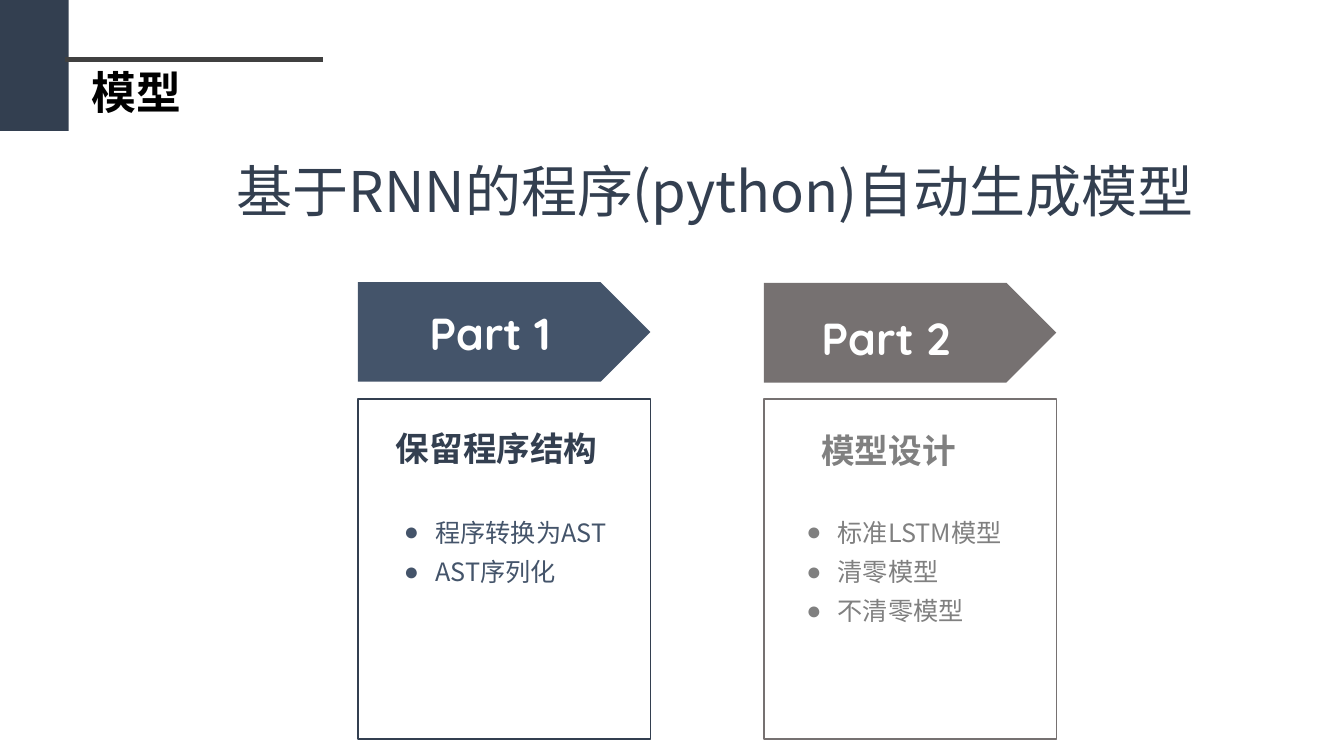
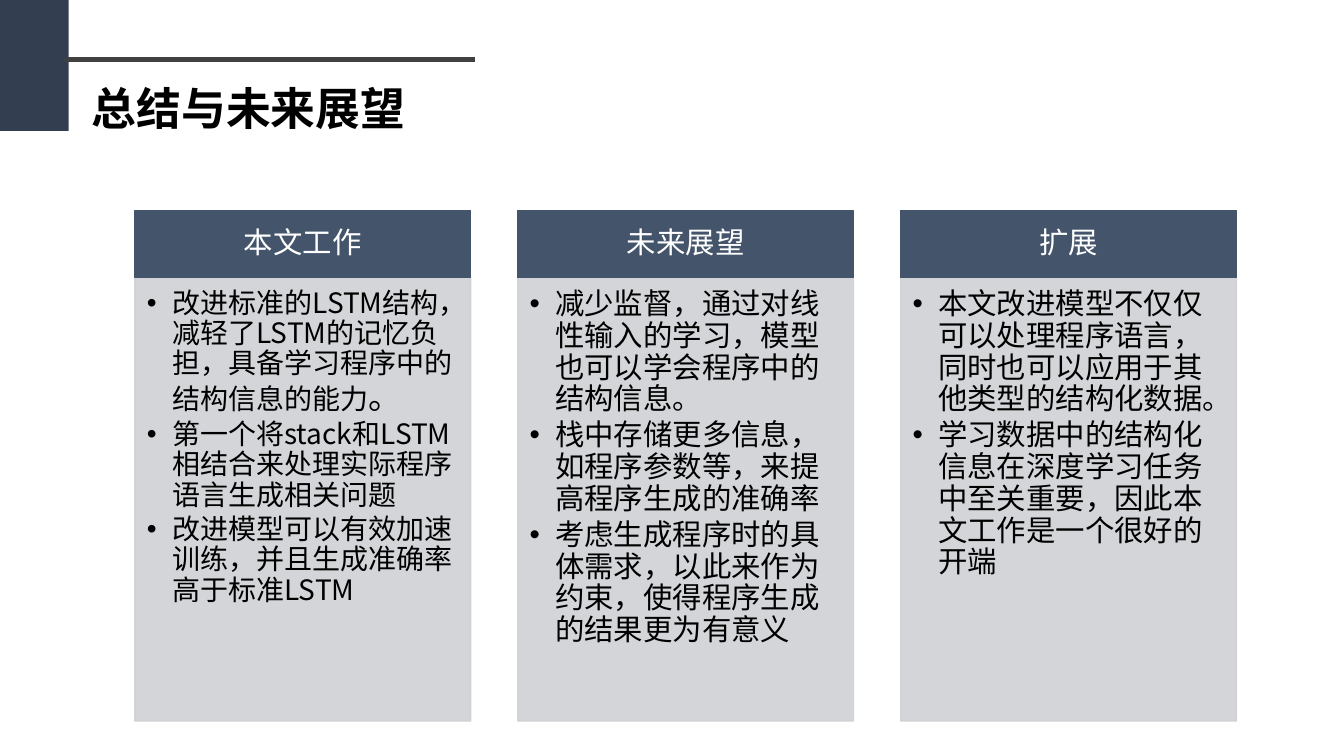
import dataclasses

import lxml.etree
import pptx
import pptx.dml.color
import pptx.enum.shapes
import pptx.enum.text
import pptx.oxml.ns
import pptx.util

Cm = pptx.util.Cm
Pt = pptx.util.Pt
qn = pptx.oxml.ns.qn
Shape = pptx.enum.shapes.MSO_SHAPE
Align = pptx.enum.text.PP_ALIGN
Anchor = pptx.enum.text.MSO_ANCHOR


@dataclasses.dataclass(frozen=True)
class Theme:
    navy: str = "333F50"
    slate: str = "44546A"
    taupe: str = "767171"
    gray: str = "808080"
    panel: str = "CFD1D4"
    rule: str = "404040"
    black: str = "000000"
    white: str = "FFFFFF"
    text_font: str = "Noto Sans CJK SC"
    label_font: str = "Quicksand"
    title_size: int = 40
    heading_size: int = 32
    subheading_size: int = 24
    panel_size: int = 21
    compact_size: int = 20
    list_size: int = 18


THEME = Theme()


def rgb(color):
    return pptx.dml.color.RGBColor.from_string(color)


def add_bullet(paragraph, character, indent):
    properties = paragraph._p.get_or_add_pPr()
    properties.set("marL", str(Cm(indent)))
    properties.set("indent", str(-Cm(indent)))
    bullet = lxml.etree.SubElement(properties, qn("a:buChar"))
    bullet.set("char", character)


def write_text(shape, paragraphs, *, size, color, font=THEME.text_font, bold=False,
               align=Align.LEFT, anchor=Anchor.TOP, line_spacing=1.0, space_after=0,
               bullet=None, indent=0, margins=(0.25, 0.13, 0.25, 0.13)):
    frame = shape.text_frame
    frame.word_wrap = True
    frame.auto_size = pptx.enum.text.MSO_AUTO_SIZE.NONE
    frame.vertical_anchor = anchor
    (frame.margin_left, frame.margin_top,
     frame.margin_right, frame.margin_bottom) = map(Cm, margins)
    if isinstance(paragraphs, str):
        paragraphs = [paragraphs]
    for index, content in enumerate(paragraphs):
        paragraph = frame.add_paragraph() if index else frame.paragraphs[0]
        paragraph.alignment = align
        paragraph.line_spacing = line_spacing
        paragraph.space_before = Pt(0)
        paragraph.space_after = Pt(space_after)
        if bullet:
            add_bullet(paragraph, bullet, indent)
        runs = [(content, size)] if isinstance(content, str) else content
        for text, run_size in runs:
            run = paragraph.add_run()
            run.text = text
            run.font.size = Pt(run_size)
            run.font.bold = bold
            run.font.color.rgb = rgb(color)
            run.font.name = font
            east_asian = lxml.etree.SubElement(run._r.get_or_add_rPr(), qn("a:ea"))
            east_asian.set("typeface", font)


class Deck:
    def __init__(self, theme):
        self.theme = theme
        self.presentation = pptx.Presentation()
        self.presentation.slide_width = Cm(33.87)
        self.presentation.slide_height = Cm(19.05)
        self.slide = None
        self.bodies = []

    def new_slide(self, layout_name, rule_end):
        layout = self.presentation.slide_layouts.get_by_name(layout_name)
        self.slide = self.presentation.slides.add_slide(layout)
        self.bodies = [placeholder for placeholder in self.slide.placeholders
                       if placeholder.placeholder_format.idx]
        self.block((0, 0, 1.73, 3.3), fill=self.theme.navy)
        self.rule(1.65, rule_end, 1.5)

    def place(self, shape, box):
        shape.left, shape.top, shape.width, shape.height = map(Cm, box)
        return shape

    def paint(self, shape, fill=None, line=None, opacity=100):
        if fill:
            shape.fill.solid()
            shape.fill.fore_color.rgb = rgb(fill)
        else:
            shape.fill.background()
        if line:
            shape.line.color.rgb = rgb(line)
            shape.line.width = Pt(1)
        else:
            shape.line.fill.background()
        if opacity < 100:
            for color in shape._element.spPr.iter(qn("a:srgbClr")):
                alpha = lxml.etree.SubElement(color, qn("a:alpha"))
                alpha.set("val", str(opacity * 1000))

    def block(self, box, kind=Shape.RECTANGLE, **paint):
        shape = self.slide.shapes.add_shape(kind, *map(Cm, box))
        shape.shadow.inherit = False
        self.paint(shape, **paint)
        return shape

    def rule(self, start, end, top):
        line = self.slide.shapes.add_connector(
            pptx.enum.shapes.MSO_CONNECTOR.STRAIGHT, Cm(start), Cm(top), Cm(end), Cm(top))
        line.line.color.rgb = rgb(self.theme.rule)
        line.line.width = Pt(3)
        lxml.etree.SubElement(line._element.spPr, qn("a:effectLst"))

    def title(self, text, box, **style):
        write_text(self.place(self.slide.shapes.title, box), text, **style)

    def text(self, text, box, **style):
        write_text(self.slide.shapes.add_textbox(*map(Cm, box)), text, **style)

    def bullets(self, items, box, **style):
        body = self.place(self.bodies.pop(0), box)
        write_text(body, items, **style)
        return body

    def remove_spare_bodies(self):
        for placeholder in self.bodies:
            placeholder._element.getparent().remove(placeholder._element)
        self.bodies = []

    def part_card(self, left, arrow_top, label, label_at, heading, heading_at,
                  items, list_left, arrow_color, frame_color, heading_color, list_color):
        theme = self.theme
        self.block((left, arrow_top, 7.37, 2.51), Shape.PENTAGON, fill=arrow_color)
        self.text(label, (*label_at, 6.2, 1.63), size=theme.heading_size,
                  color=theme.white, font=theme.label_font, bold=True)
        self.block((left, 10.06, 7.37, 8.56), line=frame_color)
        self.text(heading, (*heading_at, 6.2, 1.47), size=theme.subheading_size,
                  color=heading_color, bold=True, line_spacing=1.3)
        self.bullets(items, (list_left, 12.67, 6.58, 3.25), size=theme.list_size,
                     color=list_color, line_spacing=1.3, bullet="●", indent=0.79)

    def summary_column(self, left, heading, items, size):
        theme = self.theme
        header = self.block((left, 5.31, 8.46, 1.68), fill=theme.slate, line=theme.slate)
        write_text(header, heading, size=theme.panel_size, color=theme.white,
                   align=Align.CENTER, anchor=Anchor.MIDDLE, line_spacing=0.9,
                   margins=(0.41, 0.23, 0.41, 0.23))
        body = self.bullets(items, (left, 6.99, 8.46, 11.18), size=size, color=theme.black,
                            line_spacing=0.9, space_after=3, bullet="•", indent=0.64,
                            margins=(0.3, 0.3, 0.41, 0.45))
        self.paint(body, fill=theme.panel, line=theme.panel, opacity=90)


def build_model_slide(deck):
    theme = deck.theme
    deck.new_slide("Two Content", rule_end=8.15)
    deck.text("模型", (2.06, 1.5, 7.26, 1.63), size=theme.heading_size,
              color=theme.black, bold=True)
    deck.title("基于RNN的程序(python)自动生成模型", (5.72, 3.07, 27.13, 3.68),
               size=theme.title_size, color=theme.navy, anchor=Anchor.MIDDLE,
               line_spacing=0.9)
    deck.part_card(
        left=9.02, arrow_top=7.11, label="Part 1", label_at=(10.57, 7.57),
        heading="保留程序结构", heading_at=(9.73, 10.34),
        items=["程序转换为AST", "AST序列化"], list_left=9.93,
        arrow_color=theme.slate, frame_color=theme.navy,
        heading_color=theme.navy, list_color=theme.slate)
    deck.part_card(
        left=19.25, arrow_top=7.13, label="Part 2", label_at=(20.45, 7.7),
        heading="模型设计", heading_at=(20.45, 10.41),
        items=["标准LSTM模型", "清零模型", "不清零模型"], list_left=20.07,
        arrow_color=theme.taupe, frame_color=theme.taupe,
        heading_color=theme.gray, list_color=theme.gray)


def build_summary_slide(deck):
    theme = deck.theme
    deck.new_slide("Comparison", rule_end=11.96)
    deck.title("总结与未来展望", (2.06, 1.5, 10.64, 1.85), size=theme.heading_size,
               color=theme.black, bold=True, line_spacing=1.3)
    columns = [
        ("本文工作", theme.compact_size, [
            [("改进标准的LSTM结构，减轻了LSTM的记忆负担，具备学习程序中的结构信息的能力",
              theme.compact_size), ("。", theme.subheading_size)],
            "第一个将stack和LSTM相结合来处理实际程序语言生成相关问题",
            "改进模型可以有效加速训练，并且生成准确率高于标准LSTM"]),
        ("未来展望", theme.panel_size, [
            "减少监督，通过对线性输入的学习，模型也可以学会程序中的结构信息。",
            "栈中存储更多信息，如程序参数等，来提高程序生成的准确率",
            "考虑生成程序时的具体需求，以此来作为约束，使得程序生成的结果更为有意义"]),
        ("扩展", theme.panel_size, [
            "本文改进模型不仅仅可以处理程序语言，同时也可以应用于其他类型的结构化数据。",
            "学习数据中的结构化信息在深度学习任务中至关重要，因此本文工作是一个很好的开端"]),
    ]
    for index, (heading, size, items) in enumerate(columns):
        deck.summary_column(3.4 + index * 9.65, heading, items, size)
    deck.remove_spare_bodies()


def main():
    deck = Deck(THEME)
    build_model_slide(deck)
    build_summary_slide(deck)
    deck.presentation.save("out.pptx")


if __name__ == "__main__":
    main()
